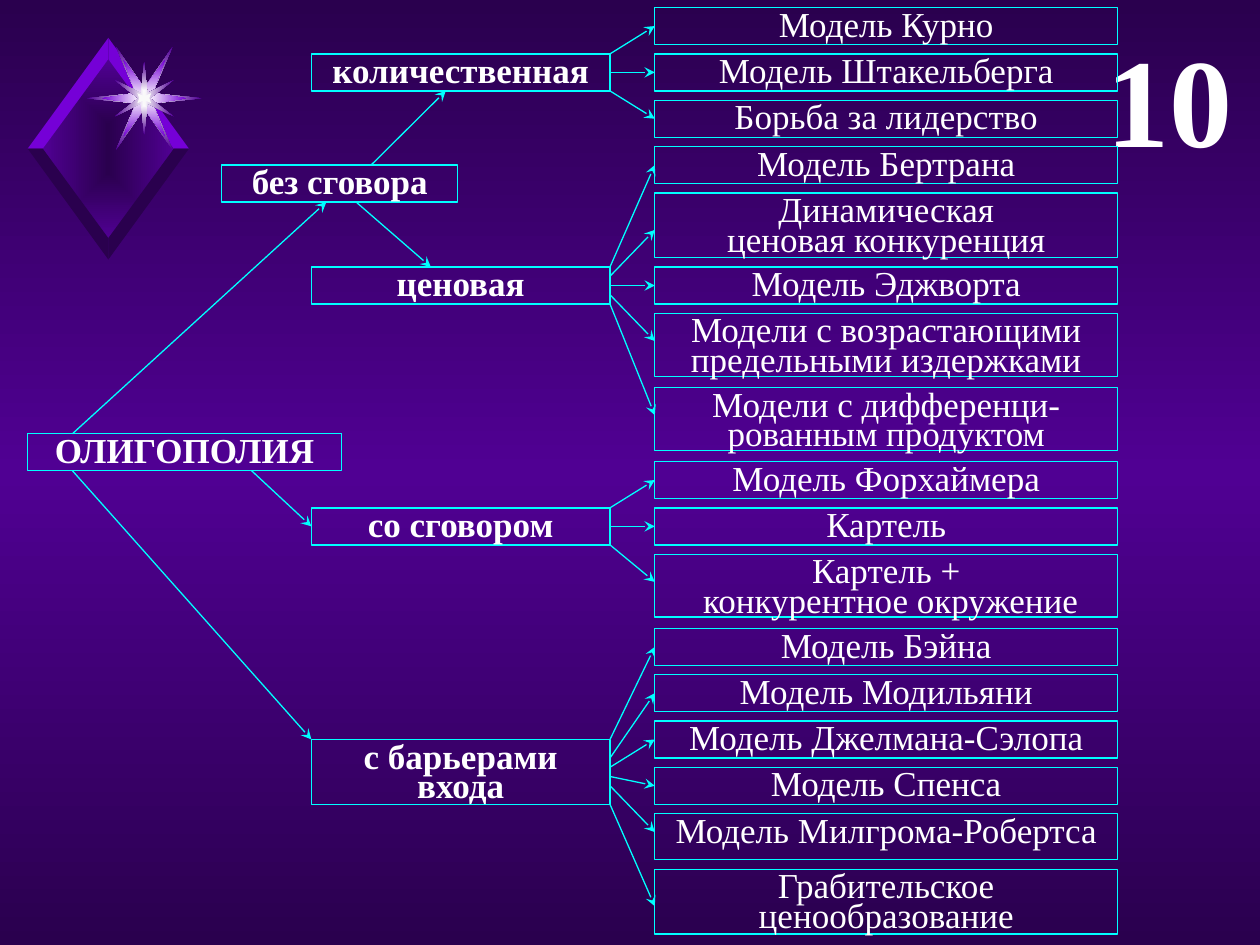
from math import ceil
from lxml import etree
from pptx import Presentation
from pptx.dml.color import RGBColor
from pptx.enum import shapes as kinds, text as txt
from pptx.oxml import ns, parse_xml
from pptx.util import Inches, Pt

WIDE, HIGH = 10, 7.5
COL, ROW = 2.37 / 20, HIGH / 102
LEFT, TOP = 0.22, 0.06
DARK, MID, LILAC = "2A004E", "500093", "7500D7"
CYAN, WHITE, PALE = "00FFFF", "FFFFFF", "F9F9F9"
FONT = {"name": "Times New Roman", "size": Pt(20), "bold": False}

BRANCHES = [
    ("количественная", 5, 4, [
        ("Модель Курно", 4, 0),
        ("Модель Штакельберга", 4, 2),
        ("Борьба за лидерство", 4, 4)]),
    ("ценовая", 28, 4, [
        ("Модель Бертрана", 4, 0),
        ("Динамическая\nценовая конкуренция", 7, 1),
        ("Модель Эджворта", 4, 2),
        ("Модели с возрастающими\nпредельными издержками", 6.8, 3),
        ("Модели с дифференци-\nрованным продуктом", 6.8, 4)]),
    ("со сговором", 54, 4, [
        ("Модель Форхаймера", 4, 0),
        ("Картель", 4, 2),
        ("Картель +\n конкурентное окружение", 6.8, 4)]),
    ("с барьерами входа", 79, 7, [
        ("Модель Бэйна", 4, 0),
        ("Модель Модильяни", 4, 2),
        ("Модель Джелмана-Сэлопа", 4, 3),
        ("Модель Спенса", 4, 4),
        ("Модель Милгрома-Робертса", 5, 5),
        ("Грабительское\nценообразование", 7, 7)]),
]
ROOTS = [("ОЛИГОПОЛИЯ", 0, 46, 21, 4), ("без сговора", 13, 17, 15.8, 4)]
LINKS = [(3, 46, 20, 21), (23, 17, 28, 9), (22, 21, 27, 28),
         (15, 50, 19, 56), (3, 50, 19, 79)]
STARS = [
    ([(45.5, 0), (6.5, 4), (22.5, 41), (0, 8)], [WHITE, MID]),
    ([(33.5, 0), (6.5, 4), (16.5, 30.5), (0, 8)], [WHITE, LILAC]),
    ([(4.5, 0), (23.5, 14.5), (2.5, 4), (0, 29)], [WHITE, MID]),
    ([(4, 0), (5.5, 4), (1, 2), (0, 7)], [PALE]),
]


def hue(code):
    return RGBColor.from_string(code)


def blend(tones, way):
    step = 100000 // (len(tones) - 1)
    stops = "".join(
        f'<a:gs pos="{i * step}"><a:srgbClr val="{tone}"/></a:gs>'
        for i, tone in enumerate(tones))
    return parse_xml(f'<a:gradFill {ns.nsdecls("a")} rotWithShape="1">'
                     f'<a:gsLst>{stops}</a:gsLst>{way}</a:gradFill>')


def swap(node, grad):
    old = node.find(ns.qn("a:gradFill"))
    node.replace(old, grad)


def paint(slide):
    fill = slide.background.fill
    fill.gradient()
    node = slide.background._cSld.find(".//" + ns.qn("p:bgPr"))
    swap(node, blend([DARK, MID, DARK], '<a:lin ang="5400000" scaled="0"/>'))


def facet(slide, spots, tones):
    pts = [(Inches(x), Inches(y)) for x, y in spots]
    pen = slide.shapes.build_freeform(*pts[0], scale=1.0)
    pen.add_line_segments(pts[1:], close=True)
    form = pen.convert_to_shape()
    form.shadow.inherit = False
    form.line.fill.background()
    if len(tones) == 1:
        form.fill.solid()
        form.fill.fore_color.rgb = hue(tones[0])
    else:
        form.fill.gradient()
        swap(form._element.spPr, blend(
            tones, '<a:path path="rect"><a:fillToRect l="50000" t="50000" '
                   'r="50000" b="50000"/></a:path>'))


def emblem(slide, left, top, width):
    unit = width / 138

    def place(spots, mid, tones):
        facet(slide, [(left + (mid[0] + x) * unit, top + (mid[1] + y) * unit)
                      for x, y in spots], tones)

    core, glow = (64, 88), (92.5, 48)
    place([(0, -71), (-52, 0), (0, 71), (52, 0)], core, [DARK, MID])
    for down, tone in ((-1, LILAC), (1, DARK)):
        for side in (1, -1):
            place([(0, 71 * down), (0, 88 * down),
                   (64 * side, 0), (52 * side, 0)], core, [tone])
    for arm, tones in STARS:
        half = arm + [(-x, y) for x, y in arm[-2::-1]]
        ring = half + [(x, -y) for x, y in half[-2:0:-1]]
        place(ring, glow, tones)


def write(frame, words, align, space, **style):
    frame.word_wrap = True
    frame.vertical_anchor = txt.MSO_ANCHOR.TOP
    frame.text = words
    for para in frame.paragraphs:
        para.alignment = align
        para.line_spacing = space
        for key, value in {**FONT, **style}.items():
            setattr(para.font, key, value)
            for run in para.runs:
                setattr(run.font, key, value)
        for run in para.runs:
            run.font.color.rgb = hue(WHITE)


def number(slide, left, top, width, height):
    box = slide.shapes.add_textbox(*map(Inches, (left, top, width, height)))
    write(box.text_frame, "10", txt.PP_ALIGN.RIGHT, 1.0,
          size=Pt(72), bold=True)


def spot(col, row):
    return Inches(LEFT + col * COL), Inches(TOP + row * ROW)


def node(slide, words, col, row, cols, rows, bold=False):
    box = slide.shapes.add_shape(
        kinds.MSO_SHAPE.RECTANGLE, *spot(col, row),
        Inches(cols * COL), Inches(rows * ROW))
    box.shadow.inherit = False
    box.fill.background()
    box.line.color.rgb = hue(CYAN)
    box.line.width = Pt(0.75)
    write(box.text_frame, words, txt.PP_ALIGN.CENTER, 0.7, bold=bold)


def arrow(slide, col, row, to, end):
    link = slide.shapes.add_connector(
        kinds.MSO_CONNECTOR.STRAIGHT, *spot(col, row), *spot(to, end))
    link.line.color.rgb = hue(CYAN)
    link.line.width = Pt(0.75)
    props = link._element.spPr
    etree.SubElement(props.find(ns.qn("a:ln")), ns.qn("a:tailEnd"),
                     type="stealth")
    etree.SubElement(props, ns.qn("a:effectLst"))


def tree(slide):
    for words, col, row, cols, rows in ROOTS:
        node(slide, words, col, row, cols, rows, True)
    for link in LINKS:
        arrow(slide, *link)
    row = 0
    for name, top, rows, leaves in BRANCHES:
        node(slide, name, 19, top, 20, rows, True)
        for words, tall, start in leaves:
            node(slide, words, 42, row, 31, tall)
            arrow(slide, 39, top + start, 42, row + round(tall / 2))
            row += ceil(tall) + 1


deck = Presentation()
deck.slide_width, deck.slide_height = Inches(WIDE), Inches(HIGH)
page = deck.slides.add_slide(deck.slide_layouts[6])
paint(page)
emblem(page, 0.22, 0.3, 1.38)
number(page, 8.63, 0.12, 1.25, 1.31)
tree(page)
deck.save("out.pptx")
